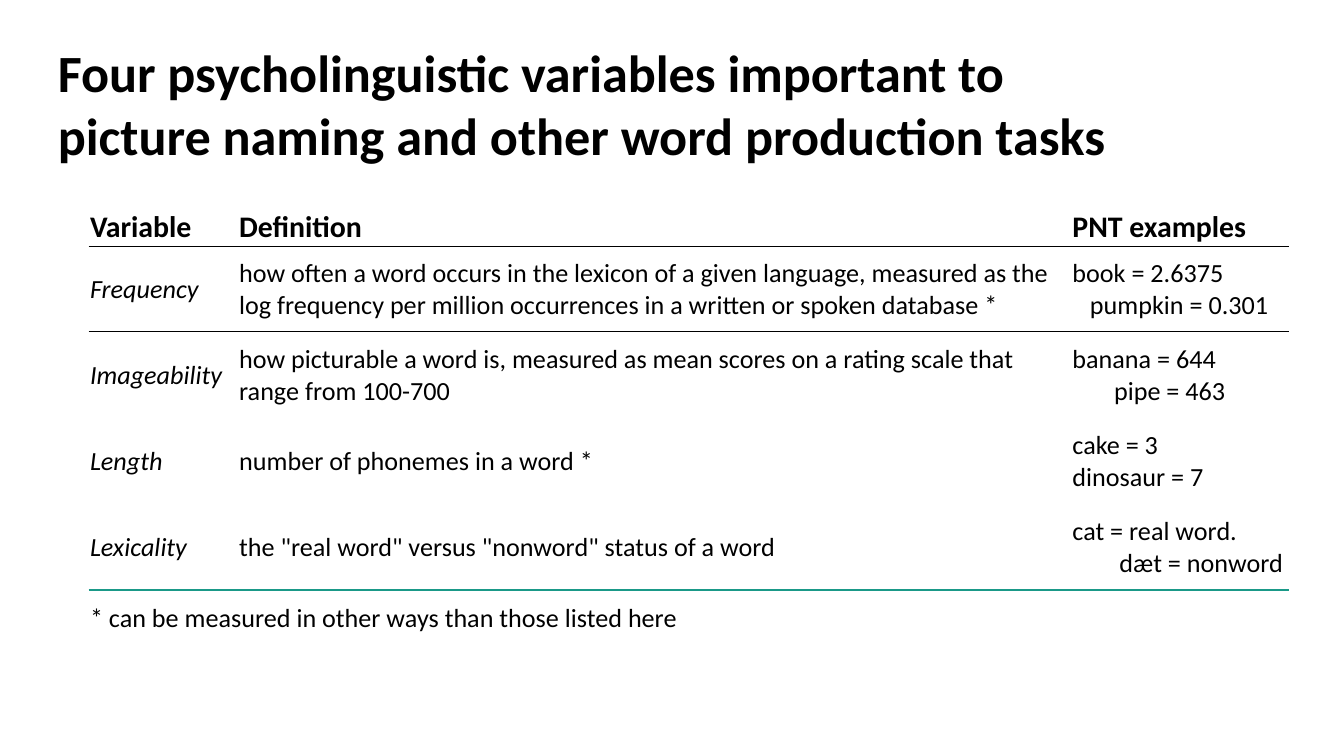
from lxml import etree
from pptx import Presentation
from pptx.dml.color import RGBColor
from pptx.enum.text import MSO_ANCHOR, MSO_AUTO_SIZE, PP_ALIGN
from pptx.oxml.ns import qn
from pptx.util import Inches, Pt

MIDDLE, BOTTOM, TOP = MSO_ANCHOR.MIDDLE, MSO_ANCHOR.BOTTOM, MSO_ANCHOR.TOP
LEFT = PP_ALIGN.LEFT
NO_AUTOFIT = MSO_AUTO_SIZE.NONE

TITLE = "Four psycholinguistic variables important to picture naming and other word production tasks"
HEADINGS = ["Variable", "Definition", "PNT examples"]
VARIABLES = [
    ("Frequency",
     "how often a word occurs in the lexicon of a given language, measured as the "
     "log frequency per million occurrences in a written or spoken database *",
     "book = 2.6375", "pumpkin = 0.301", 0.13),
    ("Imageability",
     "how picturable a word is, measured as mean scores on a rating scale that range from 100-700",
     "banana = 644", "pipe = 463", 0.31),
    ("Length", "number of phonemes in a word *", "cake = 3", "dinosaur = 7", 0),
    ("Lexicality", 'the "real word" versus "nonword" status of a word',
     "cat = real word.", "dæt = nonword", 0.35),
]
FOOTNOTE = "* can be measured in other ways than those listed here"

FONT = "Calibri"
COLORS = {"text": "000000", "header_rule": "000000", "closing_rule": "1A9988"}
PLAIN_TABLE = "{2D5ABB26-0587-4C30-8999-92F81FD0307C}"
COLUMNS = [1.11, 6.2, 1.62]
ROWS = [0.29] + [0.64] * len(VARIABLES) + [0.33]


def style(paragraph, size, bold=False, italic=False):
    paragraph.alignment = LEFT
    font = paragraph.font
    font.name, font.size, font.bold, font.italic = FONT, Pt(size), bold, italic
    font.color.rgb = RGBColor.from_string(COLORS["text"])


def write(cell, lines, size=14, bold=False, italic=False, indent=0):
    cell.text = "\n".join(lines)
    for number, paragraph in enumerate(cell.text_frame.paragraphs):
        if number and indent:
            paragraph._p.get_or_add_pPr().set("marL", str(Inches(indent)))
        style(paragraph, size, bold, italic)


def rule(cell, side, color, width):
    line = etree.Element(qn(f"a:{side}"), w=str(Pt(width)), cap="flat", cmpd="sng", algn="ctr")
    fill = etree.SubElement(line, qn("a:solidFill"))
    etree.SubElement(fill, qn("a:srgbClr"), val=COLORS[color])
    etree.SubElement(line, qn("a:prstDash"), val="solid")
    etree.SubElement(line, qn("a:round"))
    cell._tc.get_or_add_tcPr().insert(0, line)


presentation = Presentation()
presentation.slide_width = Inches(10)
presentation.slide_height = Inches(10) * 9 // 16
slide = presentation.slides.add_slide(presentation.slide_layouts[5])

title = slide.shapes.title
title.left, title.top, title.width, title.height = map(Inches, (0.33, 0.25, 8.06, 1.04))
title.text = TITLE
title.text_frame.auto_size = NO_AUTOFIT
title.text_frame.vertical_anchor = TOP
style(title.text_frame.paragraphs[0], 28, bold=True)

table_frame = slide.shapes.add_table(
    len(ROWS), len(COLUMNS), Inches(0.66), Inches(1.54),
    Inches(sum(COLUMNS)), Inches(sum(ROWS)))
table = table_frame.table
table.first_row = table.horz_banding = False
table._tbl.tblPr.find(qn("a:tableStyleId")).text = PLAIN_TABLE
for column, width in zip(table.columns, COLUMNS):
    column.width = Inches(width)
for row, height in zip(table.rows, ROWS):
    row.height = Inches(height)
for cell in table.iter_cells():
    cell.fill.background()
    cell.vertical_anchor = MIDDLE
    cell.margin_left = cell.margin_right = cell.margin_top = Inches(0.01)
    cell.margin_bottom = 0

for column, heading in enumerate(HEADINGS):
    write(table.cell(0, column), [heading], size=16, bold=True)
for row, (variable, definition, first, second, indent) in enumerate(VARIABLES, 1):
    write(table.cell(row, 0), [variable], italic=True)
    write(table.cell(row, 1), [definition])
    write(table.cell(row, 2), [first, second], indent=indent)

last = len(ROWS) - 1
footnote = table.cell(last, 0)
footnote.merge(table.cell(last, 1))
write(footnote, [FOOTNOTE])
footnote.vertical_anchor = BOTTOM

for above, color, width in ((0, "header_rule", 0.5), (last - 1, "closing_rule", 1)):
    for column in range(len(COLUMNS)):
        rule(table.cell(above, column), "lnB", color, width)
        rule(table.cell(above + 1, column), "lnT", color, width)

presentation.save("out.pptx")
